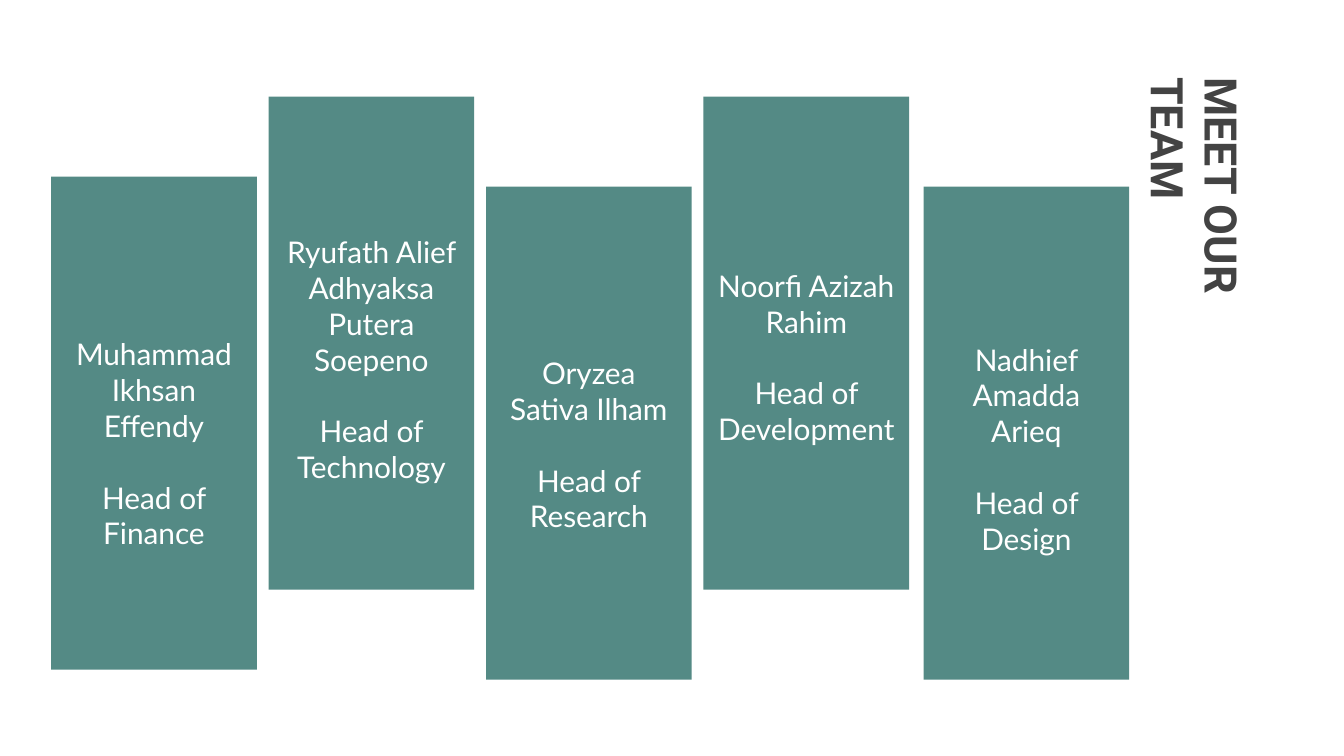
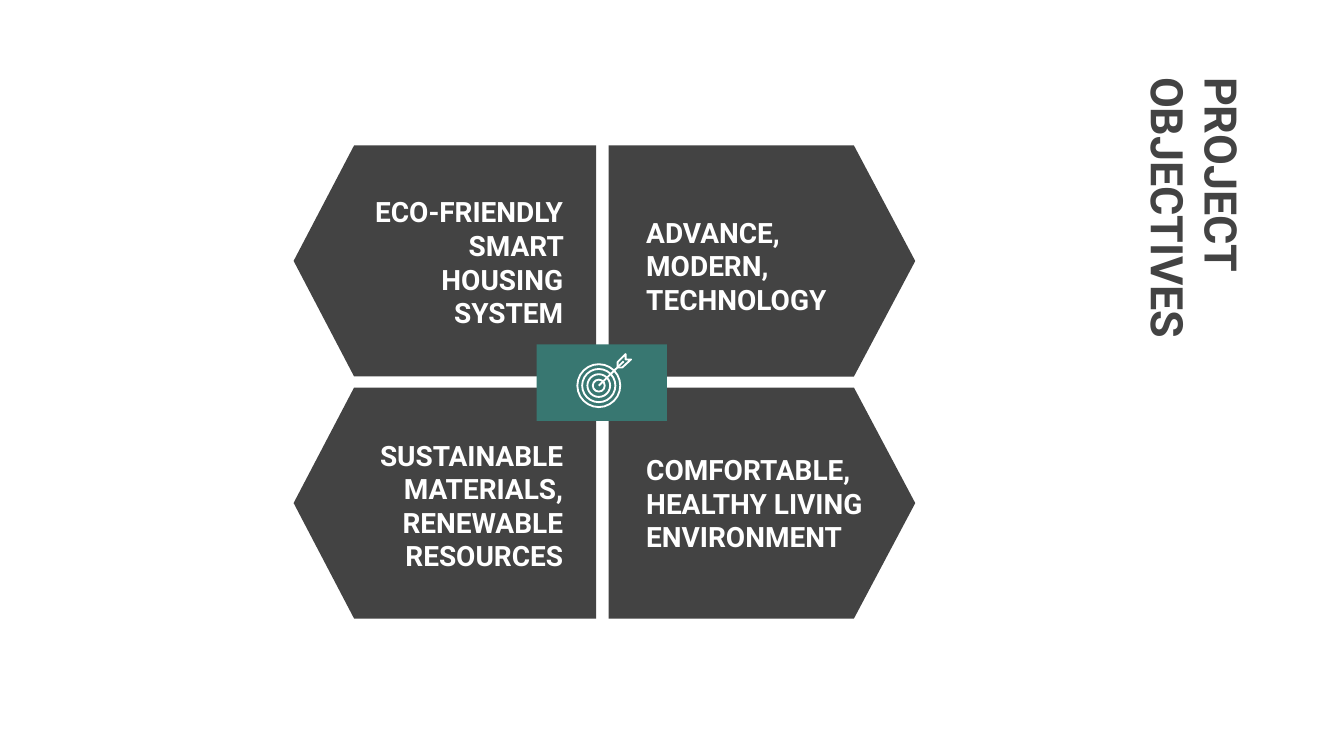
import pptx
import pptx.util
from pptx.dml.color import RGBColor
from pptx.enum.shapes import MSO_CONNECTOR, MSO_SHAPE
from pptx.enum.text import MSO_ANCHOR, PP_ALIGN
from pptx.oxml.ns import qn
from lxml import etree

Pt = pptx.util.Pt

TEAL, CHARCOAL, WHITE = "387771", "434343", "FFFFFF"
HEADING_FONT, BODY_FONT = "Roboto", "Lato"
INSET = 7.2

BAND_WIDTH, BAND_HEIGHT = 110.2, 264.2
NAME_SIZE, NAME_LINE = 16, 19.2
# name, role, band left, band top, text top, text lines
TEAM = [
    ("Muhammad Ikhsan Effendy", "Head of Finance", 27.4, 94.6, 172.8, 6),
    ("Ryufath Alief Adhyaksa Putera Soepeno", "Head of Technology", 143.9, 51.8, 118.1, 7),
    ("Oryzea Sativa Ilham", "Head of Research", 260.4, 100, 182.9, 5),
    ("Noorfi Azizah Rahim", "Head of Development", 376.9, 51.8, 136.1, 5),
    ("Nadhief Amadda Arieq", "Head of Design", 494.8, 100, 175.7, 6),
]

PANEL_HEIGHT = 123.8
ROW_CENTERS = (139.8, 269.5)
# panel center, panel length, rotation, text left, text width, alignment
COLUMNS = [
    (238.3, 162, 90, 185, 123.8, PP_ALIGN.RIGHT),
    (408.2, 164.2, 270, 339.1, 138.2, PP_ALIGN.LEFT),
]
# one row each: (wording, text top, text height) by column
OBJECTIVES = [
    [("ECO-FRIENDLY SMART HOUSING SYSTEM", 97.2, 85.7),
     ("ADVANCE, MODERN, TECHNOLOGY", 108, 64.1)],
    [("SUSTAINABLE MATERIALS, RENEWABLE RESOURCES", 227.5, 85.7),
     ("COMFORTABLE, HEALTHY LIVING ENVIRONMENT", 235.4, 69.8)],
]

TARGET_X, TARGET_Y = 320.8, 206.6
RING_RADII = (11.5, 8.9, 6.1, 3.2)
SHAFT_TIP = (13.3, -13)
FLETCHING = [(10.1, -9.7), (10.1, -12.6), (14.4, -16.9),
             (14.4, -14), (17.3, -14), (12.6, -9.7)]


def color(hex_code):
    return RGBColor.from_string(hex_code)


def style_shape(shape, fill=None, outline=None, opacity=None):
    shape.shadow.inherit = False
    if fill:
        shape.fill.solid()
        shape.fill.fore_color.rgb = color(fill)
        if opacity:
            tint = shape.fill._xPr.find(qn("a:solidFill"))[0]
            etree.SubElement(tint, qn("a:alpha"), val=str(opacity * 1000))
    else:
        shape.fill.background()
    if outline:
        shape.line.color.rgb = color(outline)
        shape.line.width = Pt(1)
    else:
        shape.line.fill.background()


def add_block(slide, preset, left, top, width, height, rotation=0, **style):
    block = slide.shapes.add_shape(preset, Pt(left), Pt(top), Pt(width), Pt(height))
    block.rotation = rotation
    style_shape(block, **style)


def add_text(slide, box, paragraphs, size, font, hex_code, bold=False,
             align=PP_ALIGN.LEFT, gap=0, rotation=0):
    """Place a top-anchored text box; gap is the space between paragraphs."""
    label = slide.shapes.add_textbox(*(Pt(length) for length in box))
    label.rotation = rotation
    frame = label.text_frame
    frame.word_wrap = True
    frame.vertical_anchor = MSO_ANCHOR.TOP
    frame.margin_left = frame.margin_right = Pt(INSET)
    frame.margin_top = frame.margin_bottom = Pt(INSET)
    frame.text = "\n".join(paragraphs)
    for index, paragraph in enumerate(frame.paragraphs):
        paragraph.alignment = align
        if index:
            paragraph.space_before = Pt(gap)
        for run in paragraph.runs:
            run.font.size = Pt(size)
            run.font.name = font
            run.font.bold = bold
            run.font.color.rgb = color(hex_code)


def add_titled_slide(deck, title):
    """Add a blank slide with the title running down its right side."""
    slide = deck.slides.add_slide(deck.slide_layouts[6])
    slide.background.fill.solid()
    slide.background.fill.fore_color.rgb = color(WHITE)
    add_text(slide, (558, 114.5, 198.7, 38.2), [title], 24, HEADING_FONT,
             CHARCOAL, bold=True, rotation=90)
    return slide


def add_target(slide):
    """Draw rings with an arrow in the bull's-eye."""
    for radius in RING_RADII:
        add_block(slide, MSO_SHAPE.OVAL, TARGET_X - radius, TARGET_Y - radius,
                  2 * radius, 2 * radius, outline=WHITE)
    shaft = slide.shapes.add_connector(
        MSO_CONNECTOR.STRAIGHT, Pt(TARGET_X), Pt(TARGET_Y),
        Pt(TARGET_X + SHAFT_TIP[0]), Pt(TARGET_Y + SHAFT_TIP[1]))
    shaft.line.color.rgb = color(WHITE)
    shaft.line.width = Pt(1)
    etree.SubElement(shaft._element.spPr, qn("a:effectLst"))
    corners = [(Pt(TARGET_X + x), Pt(TARGET_Y + y)) for x, y in FLETCHING]
    builder = slide.shapes.build_freeform(*corners[0])
    builder.add_line_segments(corners[1:], close=True)
    style_shape(builder.convert_to_shape(), outline=WHITE)


def build_team(deck):
    slide = add_titled_slide(deck, "MEET OUR TEAM")
    for name, role, left, band_top, text_top, lines in TEAM:
        add_block(slide, MSO_SHAPE.RECTANGLE, left, band_top, BAND_WIDTH,
                  BAND_HEIGHT, fill=TEAL, opacity=86)
        text_height = lines * NAME_LINE + 2 * INSET
        add_text(slide, (left, text_top, BAND_WIDTH, text_height), [name, role],
                 NAME_SIZE, BODY_FONT, WHITE, align=PP_ALIGN.CENTER, gap=NAME_LINE)


def build_objectives(deck):
    slide = add_titled_slide(deck, "PROJECT OBJECTIVES")
    for center_y, row in zip(ROW_CENTERS, OBJECTIVES):
        for column, (wording, text_top, text_height) in zip(COLUMNS, row):
            center_x, length, rotation, text_left, text_width, align = column
            add_block(slide, MSO_SHAPE.FLOWCHART_OFFPAGE_CONNECTOR,
                      center_x - PANEL_HEIGHT / 2, center_y - length / 2,
                      PANEL_HEIGHT, length, rotation, fill=CHARCOAL)
            add_text(slide, (text_left, text_top, text_width, text_height),
                     [wording], 15, HEADING_FONT, WHITE, bold=True, align=align)
    add_block(slide, MSO_SHAPE.RECTANGLE, 287.5, 184.5, 69.8, 41, fill=TEAL)
    add_target(slide)


def main():
    deck = pptx.Presentation()
    deck.slide_width, deck.slide_height = Pt(720), Pt(405)
    build_team(deck)
    build_objectives(deck)
    deck.save("out.pptx")


if __name__ == "__main__":
    main()
